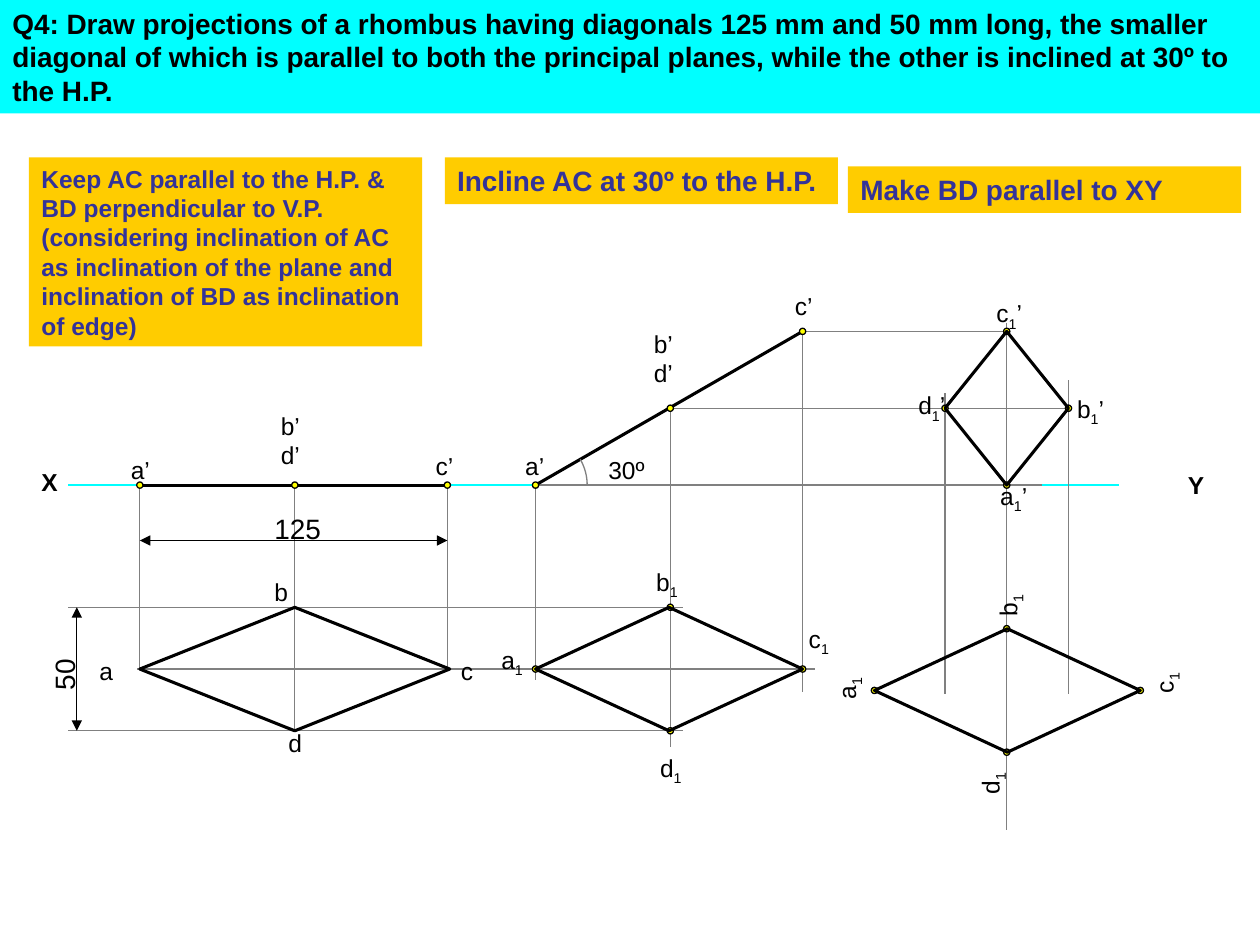
import lxml.etree
import pptx
import pptx.dml.color
import pptx.enum.shapes
import pptx.enum.text
import pptx.oxml.ns
import pptx.util

COLOURS = {"cyan": "00FFFF", "gold": "FFCC00", "indigo": "333399",
           "black": "000000", "grey": "808080", "yellow": "FFFF00"}
COLOURS = {name: pptx.dml.color.RGBColor.from_string(value) for name, value in COLOURS.items()}
KINDS = pptx.enum.shapes.MSO_SHAPE

deck = pptx.Presentation()
deck.slide_width = pptx.util.Inches(10)
deck.slide_height = pptx.util.Inches(7.5)
column = deck.slide_width / 100
row = deck.slide_height / 75
slide = deck.slides.add_slide(deck.slide_layouts[6])


def add_figure(kind, left, top, width, height, fill=None, outline=None, weight=0.75):
    figure = slide.shapes.add_shape(kind, round(left * column), round(top * row),
                                    round(width * column), round(height * row))
    figure.shadow.inherit = False
    if fill:
        figure.fill.solid()
        figure.fill.fore_color.rgb = COLOURS[fill]
    else:
        figure.fill.background()
    if outline:
        figure.line.color.rgb = COLOURS[outline]
        figure.line.width = pptx.util.Pt(weight)
    else:
        figure.line.fill.background()
    return figure


def write(frame, text, size=14, colour="black", bold=False):
    frame.word_wrap = True
    frame.auto_size = pptx.enum.text.MSO_AUTO_SIZE.SHAPE_TO_FIT_TEXT
    frame.vertical_anchor = pptx.enum.text.MSO_ANCHOR.TOP
    paragraph = frame.paragraphs[0]
    paragraph.alignment = pptx.enum.text.PP_ALIGN.LEFT
    for index, piece in enumerate(text.split("_")):
        if not piece:
            continue
        run = paragraph.add_run()
        run.text = piece
        run.font.name = "Arial"
        run.font.size = pptx.util.Pt(size)
        run.font.bold = bold
        run.font.color.rgb = COLOURS[colour]
        if index % 2:
            run._r.get_or_add_rPr().set("baseline", "-25000")


banners = [
    ("Q4: Draw projections of a rhombus having diagonals 125 mm and 50 mm long, the smaller "
     "diagonal of which is parallel to both the principal planes, while the other is inclined "
     "at 30º to the H.P.", 0, 0, 100, 9, "cyan", 16, "black"),
    ("Keep AC parallel to the H.P. & BD perpendicular to V.P. (considering inclination of AC "
     "as inclination of the plane and inclination of BD as inclination of edge)",
     2.3, 12.5, 31.2, 15, "gold", 14, "indigo"),
    ("Incline AC at 30º to the H.P.", 35.3, 12.5, 31.2, 3.7, "gold", 16, "indigo"),
    ("Make BD parallel to XY", 67.3, 13.2, 31.2, 3.7, "gold", 16, "indigo"),
]
for text, left, top, width, height, fill, size, colour in banners:
    write(add_figure(KINDS.RECTANGLE, left, top, width, height, fill).text_frame,
          text, size, colour, True)

xy, middle, apex = 38.5, 32.4, 26.3
plan_b, plan_axis, plan_d = 48.2, 53.1, 58
turned_b, turned_axis, turned_d = 49.9, 54.8, 59.7
flat_a, flat_bd, flat_c = 11.1, 23.4, 35.5
tilted_a, tilted_bd, tilted_c = 42.5, 53.2, 63.7
turned_a, turned_bd, turned_c = 69.4, 79.9, 90.5
final_d, final_b = 75, 84.8

points = [
    (flat_a, xy), (flat_bd, xy), (flat_c, xy),
    (tilted_a, xy), (tilted_bd, middle), (tilted_c, apex),
    (tilted_a, plan_axis), (tilted_bd, plan_b), (tilted_c, plan_axis), (tilted_bd, plan_d),
    (turned_a, turned_axis), (turned_bd, turned_b), (turned_c, turned_axis), (turned_bd, turned_d),
    (turned_bd, xy), (final_b, middle), (turned_bd, apex), (final_d, middle),
]
lines = [
    (5.4, xy, 88.8, xy, "cyan", 1, False),
    *[(*ends, "grey", 0.75, False) for ends in [
        (flat_a, plan_axis, flat_a, xy),
        (flat_c, plan_axis, flat_c, xy),
        (flat_bd, plan_d, flat_bd, xy),
        (5.4, plan_b, 54.2, plan_b),
        (10.9, plan_axis, 64.7, plan_axis),
        (5.4, plan_d, 54.2, plan_d),
        (tilted_a, xy, tilted_a, 54),
        (tilted_bd, middle, tilted_bd, 59.3),
        (tilted_c, apex, tilted_c, 54.9),
        (final_d, 31.2, final_d, 55.1),
        (turned_bd, 25.6, turned_bd, 65.9),
        (final_b, 30.2, final_b, 55.1),
        (tilted_c, apex, 80.2, apex),
        (tilted_bd, middle, 85.1, middle),
        (tilted_a, xy, 82.7, xy)]],
    (flat_a, xy, flat_c, xy, "black", 1.75, False),
    (tilted_a, xy, tilted_c, apex, "black", 1.75, False),
    (flat_a, 42.9, flat_c, 42.9, "black", 0.75, True),
    (6.1, plan_b, 6.1, plan_d, "black", 0.75, True),
]
rhombi = [
    (flat_a, plan_b, 35.7, plan_d),
    (tilted_a, plan_b, tilted_c, plan_d),
    (turned_a, turned_b, turned_c, turned_d),
    (final_d, apex, final_b, xy),
]

for x1, y1, x2, y2, colour, weight, arrows in lines:
    line = slide.shapes.add_connector(pptx.enum.shapes.MSO_CONNECTOR.STRAIGHT,
                                      round(x1 * column), round(y1 * row),
                                      round(x2 * column), round(y2 * row))
    line.line.color.rgb = COLOURS[colour]
    line.line.width = pptx.util.Pt(weight)
    properties = line._element.spPr
    if arrows:
        stroke = properties.find(pptx.oxml.ns.qn("a:ln"))
        for end in ("a:headEnd", "a:tailEnd"):
            lxml.etree.SubElement(stroke, pptx.oxml.ns.qn(end), type="triangle")
    lxml.etree.SubElement(properties, pptx.oxml.ns.qn("a:effectLst"))

radius = 4.1
angle = add_figure(KINDS.ARC, tilted_a - radius, xy - radius, 2 * radius, 2 * radius,
                   outline="grey")
angle.adjustments[0] = 330 * 0.6
angle.adjustments[1] = 0

dot = 0.5
for x, y in points:
    add_figure(KINDS.OVAL, x - dot / 2, y - dot / 2, dot, dot, "yellow", "black")
for left, top, right, bottom in rhombi:
    add_figure(KINDS.DIAMOND, left, top, right - left, bottom - top,
               outline="black", weight=1.75)

labels = [
    ("X", 2.3, 36.6, 4.6, 14, True, 0), ("Y", 93.3, 36.8, 3, 14, True, 0),
    ("125", 20.8, 40.1, 6.4, 16, False, 0), ("50", 1.9, 50.7, 6.4, 16, False, 270),
    ("30º", 47.3, 35.6, 5.5, 14, False, 0),
    *[(text, left, top, 4.2, 14, False, 0) for text, left, top in [
        ("a", 6.9, 51.6), ("b", 20.8, 45.3), ("c", 35.6, 51.6), ("d", 21.9, 57.3),
        ("a’", 9.4, 35.6), ("b’d’", 21.3, 32.1), ("c’", 33.6, 35.3),
        ("a’", 40.7, 35.3), ("b’d’", 50.9, 25.6), ("c’", 62.1, 22.6),
        ("a_1", 38.8, 50.7), ("b_1", 51.1, 44.5), ("c_1", 63.2, 49), ("d_1", 51.4, 59.3)]],
    *[(text, left, top, 4.1, 14, False, 270) for text, left, top in [
        ("a_1", 65.1, 52.8), ("b_1", 77.9, 46.2), ("c_1", 90.3, 52.3), ("d_1", 76.5, 60.3)]],
    *[(text, left, top, 4.6, 14, False, 0) for text, left, top in [
        ("a_1_’", 78.4, 37.7), ("b_1_’", 84.5, 30.8),
        ("c_1_’", 78.1, 23.2), ("d_1_’", 71.9, 30.5)]],
]
for text, left, top, width, size, bold, turn in labels:
    height = 5.7 if text == "b’d’" else 3.7 if size == 16 else 3.3
    label = slide.shapes.add_textbox(round(left * column), round(top * row),
                                     round(width * column), round(height * row))
    label.rotation = turn
    write(label.text_frame, text, size, bold=bold)

deck.save("out.pptx")
